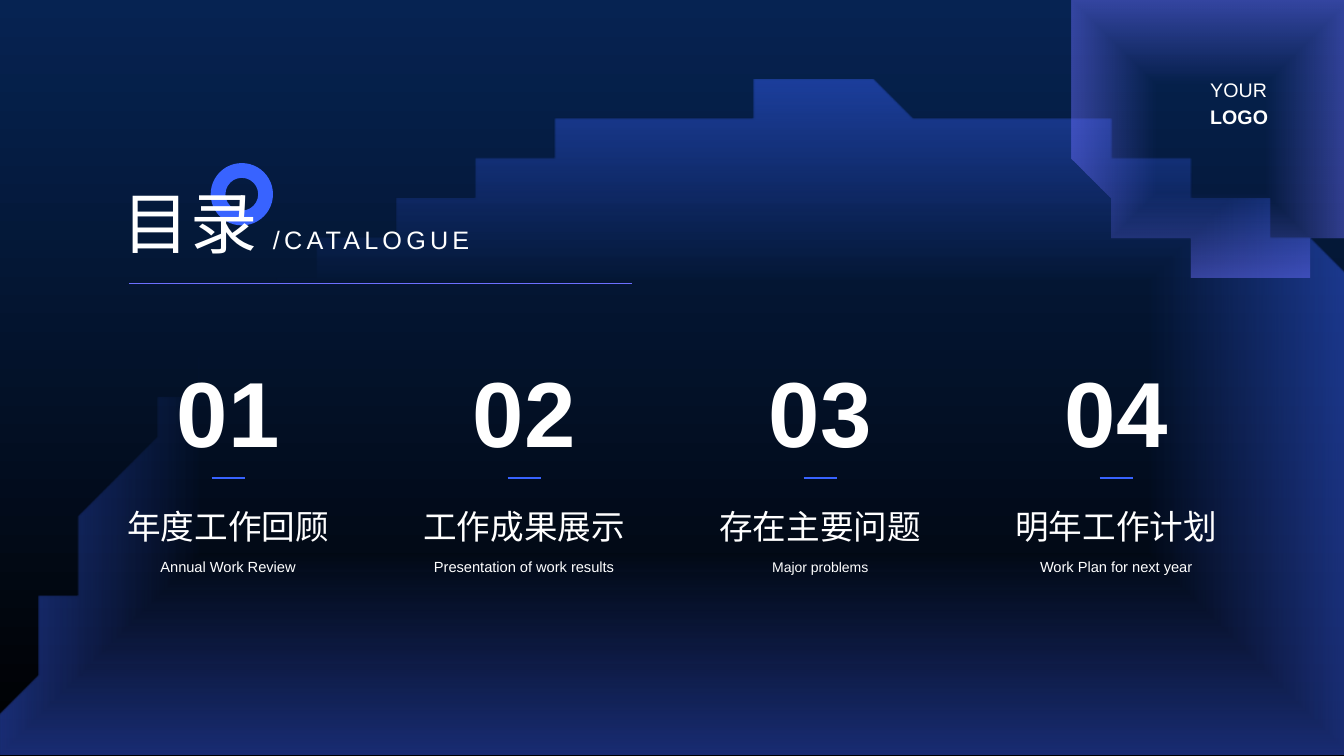
"""Build a dark catalogue slide with four numbered sections."""
from lxml import etree
from pptx import Presentation
from pptx import util as u
from pptx.dml.color import RGBColor
from pptx.enum import shapes, text
from pptx.oxml.ns import qn

COLORS = {"navy": "062352", "black": "000000", "white": "FFFFFF",
          "blue": "3863FF", "violet": "6C6FFF"}
FONT = "Arial"
SLIDE_WIDTH, SLIDE_HEIGHT = 33.87, 19.05
SECTIONS = [
    ("01", "年度工作回顾", "Annual Work Review", 10.5),
    ("02", "工作成果展示", "Presentation of work results", 10.5),
    ("03", "存在主要问题", "Major problems", 10),
    ("04", "明年工作计划", "Work Plan for next year", 10.5),
]
DOME = [
    [(20.88, 2.44)],
    [(25.68, 2.44), (30.1, 4.01), (33.68, 6.68)],
    [(33.87, 6.83)], [(33.87, 19.05)], [(0.03, 19.05)], [(0.15, 18.49)],
    [(2.51, 9.25), (10.9, 2.44), (20.88, 2.44)],
]
CORNER_DISC = [
    [(26.77, 0)], [(33.87, 0)], [(33.87, 6.17)], [(33.66, 6.3)],
    [(33.02, 6.55), (32.36, 6.68), (31.65, 6.68)],
    [(28.83, 6.68), (26.52, 4.39), (26.52, 1.57)],
    [(26.52, 1.04), (26.59, 0.53), (26.75, 0.05)],
]


def rgb(name):
    """Return the named colour."""
    return RGBColor.from_string(COLORS[name])


def curve_points(start, controls, steps=60):
    """Return points along a cubic curve that begins at start."""
    knots = [start, *controls]
    points = []
    for step in range(1, steps + 1):
        t = step / steps
        weights = ((1 - t) ** 3, 3 * t * (1 - t) ** 2, 3 * t * t * (1 - t), t ** 3)
        points.append(tuple(sum(w * knot[axis] for w, knot in zip(weights, knots))
                            for axis in (0, 1)))
    return points


def add_glow(slide, segments, color, clear_until, edge_opacity):
    """Draw an outline that is clear inside and glows towards its edges."""
    points = list(segments[0])
    for segment in segments[1:]:
        points += curve_points(points[-1], segment) if len(segment) == 3 else segment
    builder = slide.shapes.build_freeform(*points[0], scale=float(u.Cm(1)))
    builder.add_line_segments(points[1:], close=True)
    glow = builder.convert_to_shape()
    glow.shadow.inherit = False
    glow.line.fill.background()
    glow.fill.gradient()
    stops = zip(glow.fill.gradient_stops, (clear_until, 100), (0, edge_opacity))
    for stop, position, opacity in stops:
        stop.position = position / 100
        stop.color.rgb = rgb(color)
    gradient = glow._element.spPr.find(qn("a:gradFill"))
    for tone, opacity in zip(gradient.iter(qn("a:srgbClr")), (0, edge_opacity)):
        etree.SubElement(tone, qn("a:alpha"), val=str(opacity * 1000))
    direction = etree.Element(qn("a:path"), path="shape")
    etree.SubElement(direction, qn("a:fillToRect"),
                     {side: "50000" for side in "ltrb"})
    gradient.replace(gradient.find(qn("a:lin")), direction)


def add_text(slide, box, content, size, bold=False, align=text.PP_ALIGN.LEFT,
             anchor=text.MSO_ANCHOR.MIDDLE, grow=True, spacing=None, tracking=0):
    """Place white text without margins in a box and return its frame."""
    frame = slide.shapes.add_textbox(*map(u.Cm, box)).text_frame
    frame.text = content
    frame.word_wrap = True
    frame.vertical_anchor = anchor
    frame.margin_left = frame.margin_right = frame.margin_top = frame.margin_bottom = 0
    frame.auto_size = (text.MSO_AUTO_SIZE.SHAPE_TO_FIT_TEXT if grow
                       else text.MSO_AUTO_SIZE.NONE)
    for para in frame.paragraphs:
        para.alignment = align
        para.line_spacing = spacing
        for span in para.runs:
            span.font.name = FONT
            span.font.size = u.Pt(size)
            span.font.bold = bold
            span.font.color.rgb = rgb("white")
            properties = span._r.get_or_add_rPr()
            etree.SubElement(properties, qn("a:ea"), typeface=FONT)
            if tracking:
                properties.set("spc", str(tracking * 100))
    return frame


def add_rule(slide, left, top, width, color, weight):
    """Draw a horizontal line."""
    rule = slide.shapes.add_connector(
        shapes.MSO_CONNECTOR.STRAIGHT,
        u.Cm(left), u.Cm(top), u.Cm(left + width), u.Cm(top))
    rule.line.color.rgb = rgb(color)
    rule.line.width = u.Pt(weight)
    etree.SubElement(rule._element.spPr, qn("a:effectLst"))


def add_backdrop(slide):
    """Fill the background with a downward gradient."""
    fill = slide.background.fill
    fill.gradient()
    fill.gradient_angle = 270
    for stop, position, color in zip(fill.gradient_stops, (0, 1), ("navy", "black")):
        stop.position = position
        stop.color.rgb = rgb(color)


def add_ring(slide, left, top, size):
    """Draw the blue ring behind the heading."""
    ring = slide.shapes.add_shape(shapes.MSO_SHAPE.DONUT,
                                  *map(u.Cm, (left, top, size, size)))
    ring.adjustments[0] = 0.237
    ring.shadow.inherit = False
    ring.fill.solid()
    ring.fill.fore_color.rgb = rgb("blue")
    ring.line.fill.background()


def add_heading(slide, left, top):
    """Place the heading, its translation and the underline."""
    add_text(slide, (left + 3.78, top + 1.09, 8.53, 0.76), "/CATALOGUE", 18, tracking=3)
    add_rule(slide, left + 0.15, top + 2.59, 12.67, "violet", 1)
    add_text(slide, (left, top, 3.43, 2.06), "目录", 48)


def add_section(slide, left, top, width, section):
    """Place one numbered section, centred in its column."""
    number, title, subtitle, subtitle_size = section
    center = text.PP_ALIGN.CENTER
    dash = 0.84
    add_text(slide, (left, top, width, 2.95), number, 66, True, center,
             text.MSO_ANCHOR.TOP, grow=False)
    add_text(slide, (left, top + 3.51, width, 1.24), title, 24, align=center,
             anchor=text.MSO_ANCHOR.TOP, spacing=1.3)
    add_rule(slide, left + (width - dash) / 2, top + 3.1, dash, "blue", 1.75)
    add_text(slide, (left, top + 5.11, width, 0.46), subtitle, subtitle_size, align=center)


def add_corner_label(slide, left, top):
    """Place the two-line label in the corner disc."""
    frame = add_text(slide, (left, top, 2.2, 1.37), "YOUR\nLOGO", 14,
                     anchor=text.MSO_ANCHOR.TOP, spacing=u.Pt(19.4))
    frame.paragraphs[1].runs[0].font.bold = True


def build_catalogue(slide):
    """Assemble the catalogue slide."""
    add_backdrop(slide)
    add_ring(slide, 5.31, 4.11, 1.57)
    add_glow(slide, DOME, "blue", 40, 45)
    add_glow(slide, CORNER_DISC, "violet", 39, 46)
    add_heading(slide, 3.1, 4.55)
    for index, section in enumerate(SECTIONS):
        add_section(slide, 2.92 + index * 7.46, 8.94, 5.66, section)
    add_corner_label(slide, 30.5, 1.88)


def main():
    """Create and save the deck."""
    deck = Presentation()
    deck.slide_width, deck.slide_height = u.Cm(SLIDE_WIDTH), u.Cm(SLIDE_HEIGHT)
    build_catalogue(deck.slides.add_slide(deck.slide_layouts[6]))
    deck.save("out.pptx")


if __name__ == "__main__":
    main()
